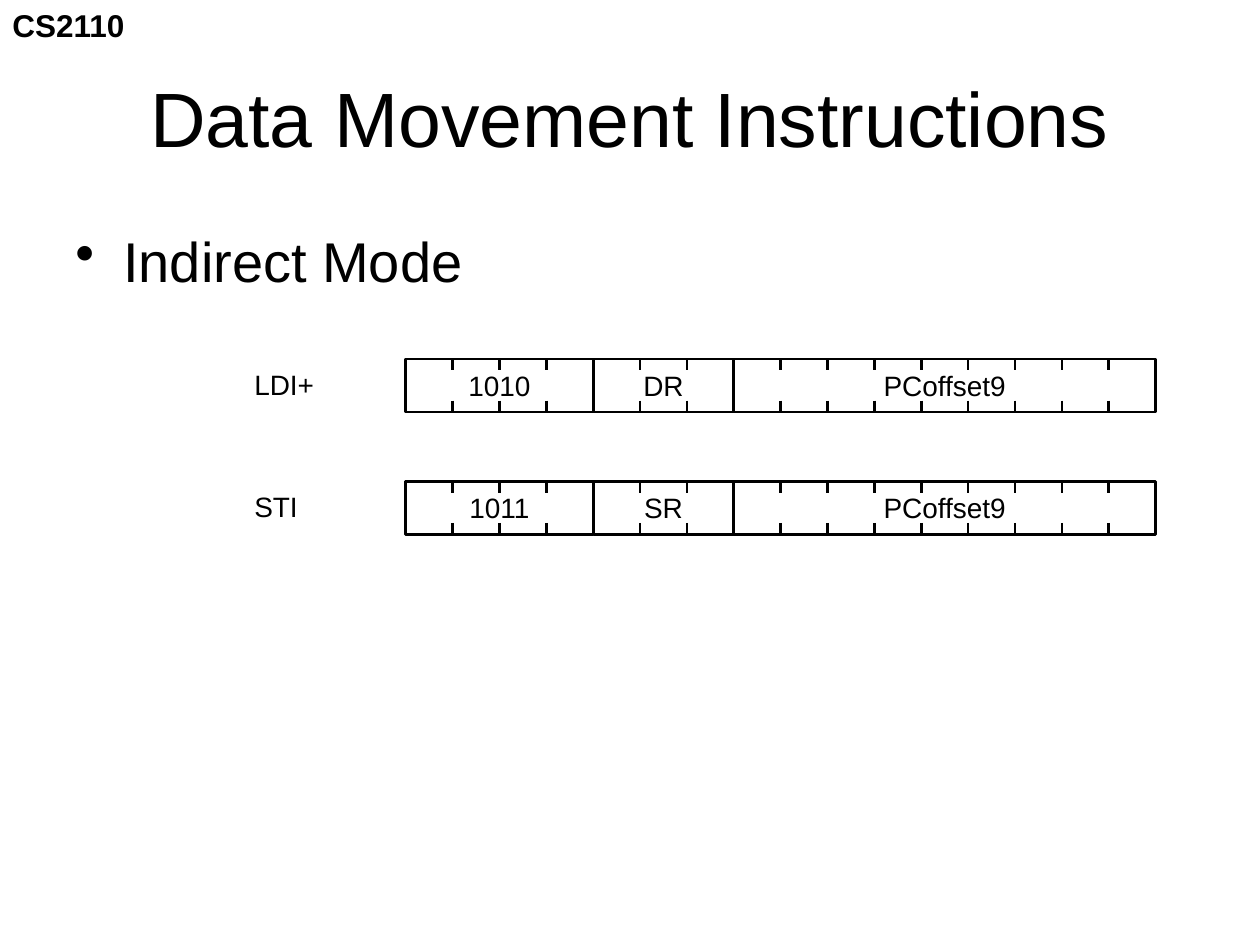
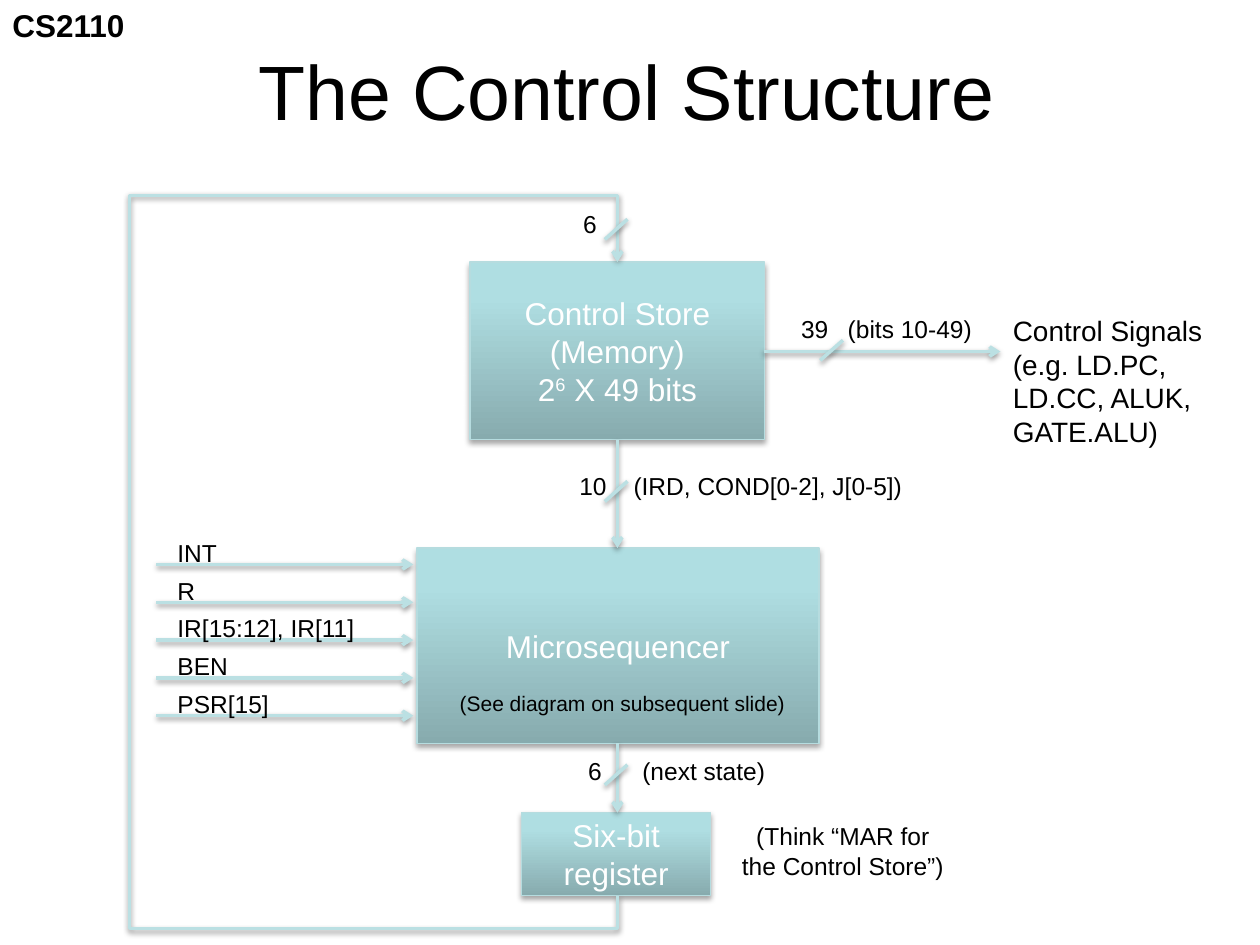
"""Build two lecture slides on instruction formats and the control structure."""
from copy import deepcopy

from pptx import Presentation
from pptx.dml.color import RGBColor
from pptx.enum.shapes import MSO_CONNECTOR, MSO_SHAPE
from pptx.enum.text import MSO_ANCHOR, PP_ALIGN
from pptx.oxml import parse_xml
from pptx.oxml.ns import nsdecls, qn
from pptx.oxml.xmlchemy import OxmlElement
from pptx.util import Inches, Pt

BLACK = RGBColor(0x00, 0x00, 0x00)
WHITE = RGBColor(0xFF, 0xFF, 0xFF)
WIRE = RGBColor(0xBB, 0xE0, 0xE3)
BLOCK_EDGE = RGBColor(0xB6, 0xDC, 0xDF)
BLOCK_STOPS = [
    (0, RGBColor(0x87, 0xAB, 0xAE)),
    (0.8, RGBColor(0xAF, 0xDE, 0xE2)),
    (1, RGBColor(0xAF, 0xE0, 0xE4)),
]

LEFT, CENTER, RIGHT = PP_ALIGN.LEFT, PP_ALIGN.CENTER, PP_ALIGN.RIGHT
TOP, MIDDLE = MSO_ANCHOR.TOP, MSO_ANCHOR.MIDDLE
STRAIGHT, RECTANGLE = MSO_CONNECTOR.STRAIGHT, MSO_SHAPE.RECTANGLE

FONT = "Arial"
SLIDE_WIDTH, SLIDE_HEIGHT = Inches(10), Inches(7.5)
MODULE = SLIDE_WIDTH / 10
TITLE_ONLY_LAYOUT = 5

BIT_WIDTH = 0.372
WORD_LEFT = 3.22
WORD_HEIGHT = 0.42
TICK = 0.09
INSTRUCTIONS = [
    ("LDI+", [("1010", 4), ("DR", 3), ("PCoffset9", 9)]),
    ("STI", [("1011", 4), ("SR", 3), ("PCoffset9", 9)]),
]

AXIS = 4.9
STORE = (3.73, 2.08, 2.34, 1.41)
SEQUENCER = (3.31, 4.35, 3.19, 1.55)
REGISTER = (4.14, 6.45, 1.5, 0.66)
FEEDBACK = [(AXIS, 7.11), (AXIS, 7.37), (1.03, 7.37), (1.03, 1.55), (AXIS, 1.55), (AXIS, 2.08)]
SIGNALS = ["INT", "R", "IR[15:12], IR[11]", "BEN", "PSR[15]"]
LABELS = [
    ("39", 6.26, 2.44, 0.6),
    ("(bits 10-49)", 6.63, 2.44, 1.3),
    ("6", 4.53, 1.61, 0.4),
    ("6", 4.57, 5.95, 0.4),
    ("(next state)", 5, 5.95, 1.3),
    ("10", 4.5, 3.69, 0.5),
    ("(IRD, COND[0-2], J[0-5])", 4.93, 3.69, 2.5),
]
SLASHES = [(6.6, 2.78), (4.89, 1.82), (4.89, 3.9), (4.89, 6.15)]


def span(*modules):
    """Turn grid modules into slide lengths."""
    return [round(value * MODULE) for value in modules]


def apply_format(target, values):
    """Set each named attribute of the target."""
    for name, value in values.items():
        setattr(target, name, value)


def write_text(shape, lines, size, color=BLACK, align=LEFT, anchor=TOP, bold=False):
    """Fill a shape with lines, where carets enclose superscripts."""
    frame = shape.text_frame
    apply_format(frame, {"word_wrap": True, "vertical_anchor": anchor})
    for number, line in enumerate(lines):
        paragraph = frame.add_paragraph() if number else frame.paragraphs[0]
        paragraph.alignment = align
        for position, part in enumerate(line.split("^")):
            run = paragraph.add_run()
            run.text = part
            apply_format(run.font, {"name": FONT, "size": Pt(size), "bold": bold})
            run.font.color.rgb = color
            if position % 2:
                run.font._element.set("baseline", "30000")


def add_text(slide, text, box, size, **style):
    """Add a text box."""
    shape = slide.shapes.add_textbox(*span(*box))
    write_text(shape, [text], size, **style)
    return shape


def add_bullet(slide, text, box, size):
    """Add a bulleted line with a hanging indent."""
    shape = add_text(slide, text, box, size)
    properties = shape.text_frame.paragraphs[0]._p.get_or_add_pPr()
    indent = span(0.38)[0]
    properties.set("marL", str(indent))
    properties.set("indent", str(-indent))
    bullet = OxmlElement("a:buChar")
    bullet.set("char", "•")
    properties.append(bullet)


def add_slide(presentation, title, box):
    """Add a titled slide with the course mark."""
    slide = presentation.slides.add_slide(presentation.slide_layouts[TITLE_ONLY_LAYOUT])
    placeholder = slide.shapes.title
    apply_format(placeholder, dict(zip(("left", "top", "width", "height"), span(*box))))
    write_text(placeholder, [title], 44, align=CENTER, anchor=MIDDLE)
    add_text(slide, "CS2110", (0, 0, 1.3, 0.4), 18, bold=True)
    return slide


def set_effects(shape, opacity=0, distance=0):
    """Give a shape a soft downward shadow, or none."""
    effects = parse_xml(f"<a:effectLst {nsdecls('a')}/>")
    if opacity:
        effects.append(parse_xml(
            f'<a:outerShdw {nsdecls("a")} blurRad="{Pt(3.1)}" dist="{Pt(distance)}" '
            f'dir="5400000" rotWithShape="0"><a:srgbClr val="000000">'
            f'<a:alpha val="{opacity * 1000}"/></a:srgbClr></a:outerShdw>'
        ))
    shape._element.spPr.append(effects)


def set_line(shape, color, width, arrow=False):
    """Style an outline or connector, with an optional arrowhead."""
    shape.line.color.rgb = color
    shape.line.width = Pt(width)
    if arrow:
        head = OxmlElement("a:tailEnd")
        head.set("type", "arrow")
        shape._element.spPr.find(qn("a:ln")).append(head)


def add_line(slide, start, end, color=BLACK, width=1.5):
    """Add a plain straight line."""
    line = slide.shapes.add_connector(STRAIGHT, *span(*start, *end))
    set_line(line, color, width)
    set_effects(line)


def add_wire(slide, start, end, arrow=True):
    """Add a shadowed data path."""
    wire = slide.shapes.add_connector(STRAIGHT, *span(*start, *end))
    set_line(wire, WIRE, 2, arrow)
    set_effects(wire, 38, 1.6)


def add_feedback(slide, points):
    """Add an open path of right angles that ends in an arrow."""
    corners = [span(*point) for point in points]
    builder = slide.shapes.build_freeform(*corners[0])
    builder.add_line_segments(corners[1:], close=False)
    shape = builder.convert_to_shape()
    shape.fill.background()
    set_line(shape, WIRE, 2, True)
    set_effects(shape, 38, 1.6)


def add_block(slide, lines, box):
    """Add a shaded hardware block with white text."""
    shape = slide.shapes.add_shape(RECTANGLE, *span(*box))
    shape.fill.gradient()
    shape.fill.gradient_angle = 90
    stop_list = shape._element.spPr.find(f".//{qn('a:gsLst')}")
    stop_list.append(deepcopy(stop_list[-1]))
    for stop, (position, color) in zip(shape.fill.gradient_stops, BLOCK_STOPS):
        stop.position = position
        stop.color.rgb = color
    set_line(shape, BLOCK_EDGE, 0.75)
    set_effects(shape, 35, 1.8)
    write_text(shape, lines, 18, WHITE, CENTER, MIDDLE)


def add_field(slide, text, left, top, bits):
    """Add an instruction field with a tick pair between its bits."""
    shape = slide.shapes.add_shape(RECTANGLE, *span(left, top, bits * BIT_WIDTH, WORD_HEIGHT))
    shape.fill.background()
    set_line(shape, BLACK, 1.5)
    set_effects(shape)
    write_text(shape, [text], 16, align=CENTER, anchor=MIDDLE)
    for bit in range(1, bits):
        x = left + bit * BIT_WIDTH
        for y in (top, top + WORD_HEIGHT - TICK):
            add_line(slide, (x, y), (x, y + TICK))


def add_instruction(slide, name, fields, top):
    """Add an instruction name and its row of fields."""
    add_text(slide, name, (1.92, top + 0.02, 1, 0.37), 16)
    left = WORD_LEFT
    for text, bits in fields:
        add_field(slide, text, left, top, bits)
        left += bits * BIT_WIDTH


def build_instructions(presentation):
    """Build the instruction format slide."""
    slide = add_slide(presentation, "Data Movement Instructions", (0.5, 0.3, 9, 1.25))
    add_bullet(slide, "Indirect Mode", (0.5, 1.75, 9, 0.7), 32)
    for row, (name, fields) in enumerate(INSTRUCTIONS):
        add_instruction(slide, name, fields, 2.85 + 0.97 * row)


def build_control(presentation):
    """Build the control structure slide."""
    slide = add_slide(presentation, "The Control Structure", (0.5, 0.3, 8.95, 0.83))
    add_block(slide, ["Microsequencer"], SEQUENCER)
    add_block(slide, ["Six-bit register"], REGISTER)
    add_block(slide, ["Control Store", "(Memory)", "2^6^ X 49 bits"], STORE)
    add_text(slide, "(See diagram on subsequent slide)", (3.55, 5.43, 2.87, 0.3), 12)
    add_wire(slide, (6.06, 2.79), (7.94, 2.79))
    add_wire(slide, (AXIS, 3.49), (AXIS, 4.35))
    add_wire(slide, (AXIS, 5.9), (AXIS, 6.45))
    add_feedback(slide, FEEDBACK)
    for x, y in SLASHES:
        add_wire(slide, (x + 0.09, y - 0.08), (x - 0.09, y + 0.08), arrow=False)
    for row, signal in enumerate(SIGNALS):
        y = 4.48 + 0.3 * row
        add_wire(slide, (1.24, y), (3.28, y))
        add_text(slide, signal, (1.31, y - 0.26, 1.79, 0.34), 14)
    for text, left, top, width in LABELS:
        add_text(slide, text, (left, top, width, 0.34), 14)
    add_text(slide, "Control Signals (e.g. LD.PC, LD.CC, ALUK, GATE.ALU)", (7.94, 2.44, 1.95, 1.18), 16)
    add_text(slide, "(Think “MAR for the Control Store”)", (5.77, 6.47, 1.84, 0.57), 14, align=CENTER)


def main():
    """Build and save the presentation."""
    presentation = Presentation()
    apply_format(presentation, {"slide_width": SLIDE_WIDTH, "slide_height": SLIDE_HEIGHT})
    build_instructions(presentation)
    build_control(presentation)
    presentation.save("out.pptx")


if __name__ == "__main__":
    main()
